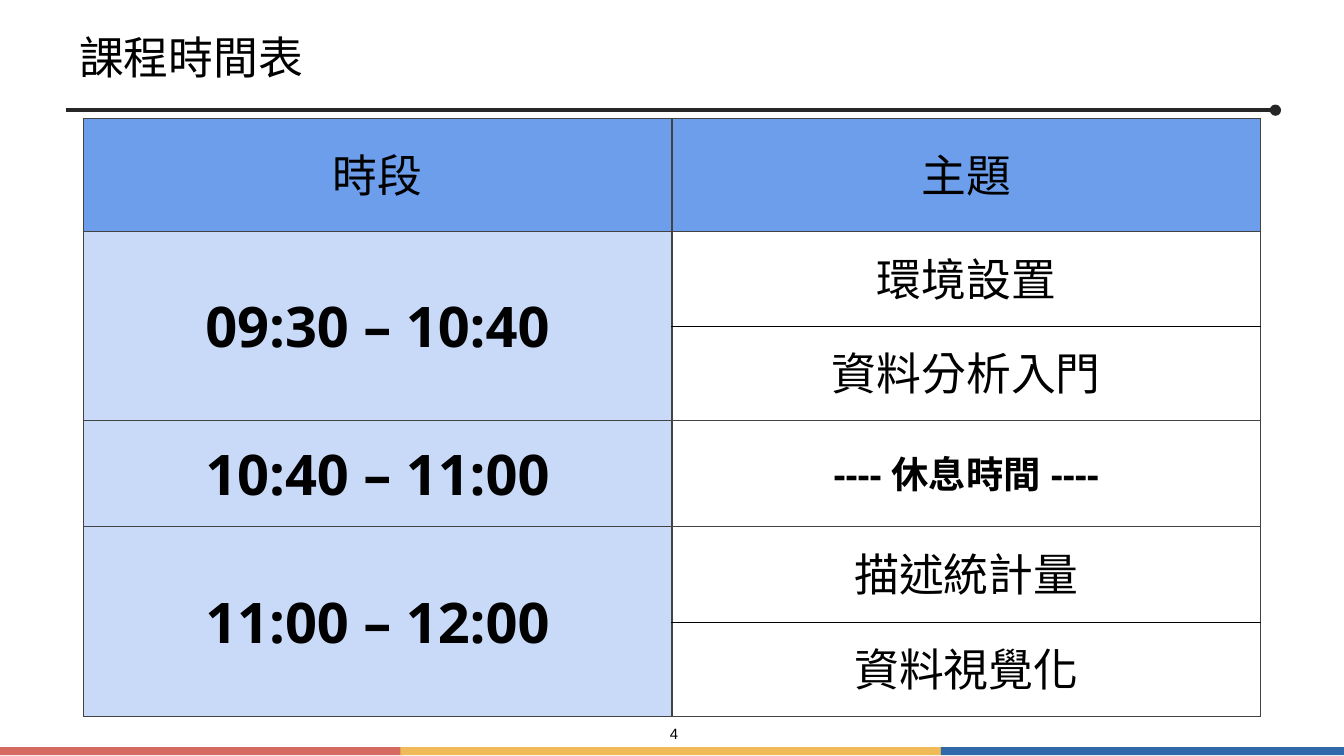
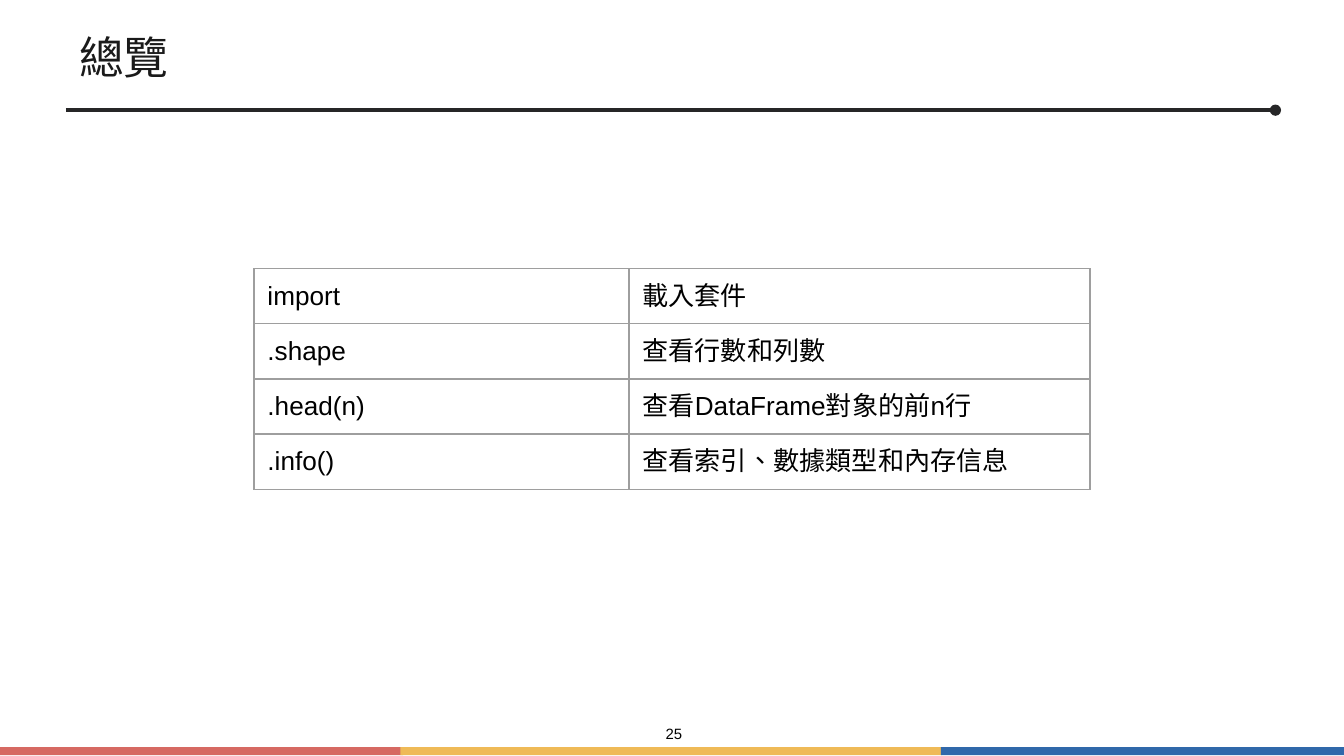
from lxml.etree import SubElement
from pptx import Presentation
from pptx.dml.color import RGBColor
from pptx.enum.shapes import MSO_CONNECTOR, MSO_SHAPE
from pptx.enum.text import MSO_ANCHOR, PP_ALIGN
from pptx.oxml import parse_xml
from pptx.oxml.ns import nsdecls, qn
from pptx.util import Inches, Pt

BLACK = RGBColor(0x00, 0x00, 0x00)
INK = RGBColor(0x1A, 0x1A, 0x1A)
RULE = RGBColor(0x26, 0x26, 0x27)
RED = RGBColor(0xD6, 0x69, 0x62)
YELLOW = RGBColor(0xEF, 0xBA, 0x57)
BLUE = RGBColor(0x30, 0x68, 0xAA)
HEADER = RGBColor(0x6D, 0x9E, 0xEB)
PERIOD = RGBColor(0xC9, 0xDA, 0xF8)
DARK_GRID = RGBColor(0x43, 0x43, 0x43)
LIGHT_GRID = RGBColor(0x9E, 0x9E, 0x9E)

SANS, ARIAL = "Open Sans", "Arial"

# Content
BANDS = [(-0.02, 3.02, RED), (2.98, 4.03, YELLOW), (7, 3.02, BLUE)]
SCHEDULE_HEADER = ("時段", "主題")
SCHEDULE = [
    ("09:30 – 10:40", ["環境設置", "資料分析入門"]),
    ("10:40 – 11:00", ["---- 休息時間 ----"]),
    ("11:00 – 12:00", ["描述統計量", "資料視覺化"]),
]
SCHEDULE_HEIGHTS = [0.84, 0.71, 0.7, 0.79, 0.71, 0.7]
OVERVIEW = [
    ("import", "載入套件"),
    (".shape", "查看行數和列數"),
    (".head(n)", "查看DataFrame對象的前n行"),
    (".info()", "查看索引、數據類型和內存信息"),
]


def style(para, size, name, color=BLACK, bold=False, align=PP_ALIGN.LEFT):
    para.alignment = align
    for span in para.runs:
        font = span.font
        font.size, font.name, font.bold = Pt(size), name, bold
        font.color.rgb = color
        font._element.set("lang", "zh-TW")
        SubElement(font._element, qn("a:ea")).set("typeface", name)


def add_text(page, text, place, inset, **look):
    box = page.shapes.add_textbox(*map(Inches, place))
    frame = box.text_frame
    frame.word_wrap = True
    frame.vertical_anchor = MSO_ANCHOR.TOP
    frame.margin_left = frame.margin_right = Inches(inset)
    frame.margin_top = frame.margin_bottom = Inches(inset)
    frame.text = text
    style(frame.paragraphs[0], **look)


def add_page(deck, title, number, title_font, title_color):
    """Start a page with the bands, title, rule and page number."""
    page = deck.slides.add_slide(deck.slide_layouts[6])
    for left, width, color in BANDS:
        band = page.shapes.add_shape(MSO_SHAPE.RECTANGLE, Inches(left), Inches(5.56),
                                     Inches(width), Inches(0.06))
        band.shadow.inherit = False
        band.fill.solid()
        band.fill.fore_color.rgb = color
        band.line.fill.background()

    rule = page.shapes.add_connector(MSO_CONNECTOR.STRAIGHT, Inches(0.49), Inches(0.82),
                                     Inches(9.49), Inches(0.82))
    rule.line.color.rgb = RULE
    rule.line.width = Pt(2)
    SubElement(rule.line._get_or_add_ln(), qn("a:tailEnd")).set("type", "oval")
    SubElement(rule._element.spPr, qn("a:effectLst"))

    add_text(page, title, (0.49, 0.12, 8.91, 0.65), 0.1,
             size=24, name=title_font, color=title_color)
    add_text(page, str(number), (4.75, 5.36, 0.53, 0.26), 0.03,
             size=8, name=ARIAL, align=PP_ALIGN.CENTER)
    return page


def add_grid(page, left, top, widths, heights):
    frame = page.shapes.add_table(len(heights), len(widths), Inches(left), Inches(top),
                                  Inches(sum(widths)), Inches(sum(heights)))
    table = frame.table
    table.first_row = table.horz_banding = False
    for column, width in zip(table.columns, widths):
        column.width = Inches(width)
    for row, height in zip(table.rows, heights):
        row.height = Inches(height)
    return table


def set_borders(cell, color, **sides):
    """Draw all four sides in one colour, except those named in sides."""
    properties = cell._tc.get_or_add_tcPr()
    for index, side in enumerate("LRTB"):
        properties.insert(index, parse_xml(
            f'<a:ln{side} {nsdecls("a")} w="{Pt(0.75)}"><a:solidFill>'
            f'<a:srgbClr val="{sides.get(side, color)}"/></a:solidFill></a:ln{side}>'))


def fill_cell(cell, text, margin, fill=None, **look):
    cell.text = text
    cell.vertical_anchor = MSO_ANCHOR.MIDDLE
    cell.margin_left = cell.margin_right = Inches(0.1)
    cell.margin_top = cell.margin_bottom = Inches(margin)
    if fill is None:
        cell.fill.background()
    else:
        cell.fill.solid()
        cell.fill.fore_color.rgb = fill
    style(cell.text_frame.paragraphs[0], **look)


def build_schedule(deck):
    page = add_page(deck, "課程時間表", 4, SANS, BLACK)
    table = add_grid(page, 0.62, 0.88, [4.38, 4.38], SCHEDULE_HEIGHTS)
    look = dict(margin=0.11, name=SANS, align=PP_ALIGN.CENTER)
    for column, heading in enumerate(SCHEDULE_HEADER):
        fill_cell(table.cell(0, column), heading, fill=HEADER, size=24, **look)
        set_borders(table.cell(0, column), DARK_GRID)

    # One period spans all of its topics
    row = 1
    for period, topics in SCHEDULE:
        last = row + len(topics) - 1
        is_break = len(topics) == 1
        if not is_break:
            table.cell(row, 0).merge(table.cell(last, 0))
        fill_cell(table.cell(row, 0), period, fill=PERIOD, size=30, bold=True, **look)
        for line, topic in enumerate(topics, row):
            cell = table.cell(line, 1)
            fill_cell(cell, topic, size=20 if is_break else 24, bold=is_break, **look)
            set_borders(table.cell(line, 0), DARK_GRID)
            set_borders(cell, DARK_GRID, T=BLACK if line > row else DARK_GRID,
                        B=BLACK if line < last else DARK_GRID)
        row = last + 1


def build_overview(deck):
    page = add_page(deck, "總覽", 25, ARIAL, INK)
    table = add_grid(page, 1.89, 2, [2.79, 3.43], [0.41] * len(OVERVIEW))
    for row, entry in enumerate(OVERVIEW):
        for column, text in enumerate(entry):
            cell = table.cell(row, column)
            fill_cell(cell, text, margin=0.05, size=14, name=ARIAL)
            set_borders(cell, LIGHT_GRID)


def main():
    deck = Presentation()
    deck.slide_width = Inches(10)
    deck.slide_height = deck.slide_width * 9 // 16
    build_schedule(deck)
    build_overview(deck)
    deck.save("out.pptx")


if __name__ == "__main__":
    main()
